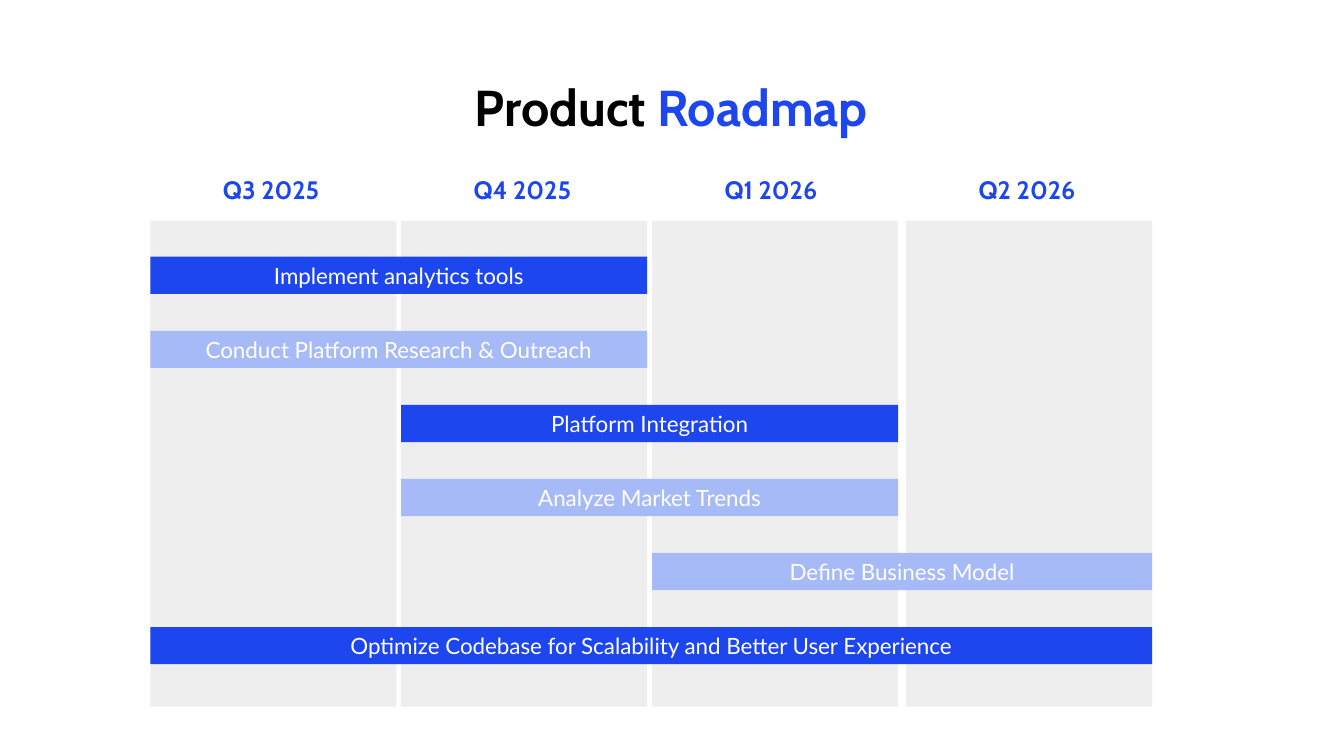
from pptx import Presentation
from pptx.dml.color import RGBColor
from pptx.enum.shapes import MSO_SHAPE
from pptx.enum.text import MSO_ANCHOR, PP_ALIGN
from pptx.util import Pt

BLACK = RGBColor(0x00, 0x00, 0x00)
WHITE = RGBColor(0xFF, 0xFF, 0xFF)
BLUE = RGBColor(0x1E, 0x46, 0xEF)
PALE_BLUE = RGBColor(0xA7, 0xBA, 0xF8)
GREY = RGBColor(0xEE, 0xEE, 0xEE)

TITLE = [("Product ", BLACK), ("Roadmap", BLUE)]
# quarter, left edge of its column
QUARTERS = [("Q3 2025", 107.5), ("Q4 2025", 286.6), ("Q1 2026", 465.8), ("Q2 2026", 647.3)]
# task, first quarter, last quarter, colour
TASKS = [
    ("Implement analytics tools", 0, 1, BLUE),
    ("Conduct Platform Research & Outreach", 0, 1, PALE_BLUE),
    ("Platform Integration", 1, 2, BLUE),
    ("Analyze Market Trends", 1, 2, PALE_BLUE),
    ("Define Business Model", 2, 3, PALE_BLUE),
    ("Optimize Codebase for Scalability and Better User Experience", 0, 3, BLUE),
]

COLUMN_TOP, COLUMN_WIDTH, COLUMN_HEIGHT = 157.7, 175.7, 347
LABEL_TOP, LABEL_WIDTH, LABEL_HEIGHT = 121, 86.4, 29
BAR_TOP, BAR_PITCH, BAR_HEIGHT = 183.4, 52.9, 26.6


def write(shape, runs, font="Cabin", size=18, bold=True,
          align=PP_ALIGN.LEFT, anchor=MSO_ANCHOR.TOP):
    """Fill a shape with one paragraph of (text, colour) runs."""
    frame = shape.text_frame
    frame.word_wrap = True
    frame.vertical_anchor = anchor
    paragraph = frame.paragraphs[0]
    paragraph.alignment = align
    for text, colour in runs:
        run = paragraph.add_run()
        run.text = text
        run.font.name = font
        run.font.size = Pt(size)
        run.font.bold = bold
        run.font.color.rgb = colour


def add_block(slide, left, top, width, height, colour):
    block = slide.shapes.add_shape(
        MSO_SHAPE.RECTANGLE, Pt(left), Pt(top), Pt(width), Pt(height))
    block.shadow.inherit = False
    block.fill.solid()
    block.fill.fore_color.rgb = colour
    block.line.fill.background()
    return block


def main():
    deck = Presentation()
    deck.slide_width, deck.slide_height = Pt(960), Pt(540)
    slide = deck.slides.add_slide(deck.slide_layouts[6])

    title = slide.shapes.add_textbox(Pt(288.7), Pt(51), Pt(381.6), Pt(51))
    write(title, TITLE, size=36, align=PP_ALIGN.CENTER)

    for quarter, left in QUARTERS:
        add_block(slide, left, COLUMN_TOP, COLUMN_WIDTH, COLUMN_HEIGHT, GREY)
        label_left = left + (COLUMN_WIDTH - LABEL_WIDTH) / 2
        label = slide.shapes.add_textbox(
            Pt(label_left), Pt(LABEL_TOP), Pt(LABEL_WIDTH), Pt(LABEL_HEIGHT))
        write(label, [(quarter, BLUE)])

    for row, (task, first, last, colour) in enumerate(TASKS):
        left = QUARTERS[first][1]
        width = QUARTERS[last][1] + COLUMN_WIDTH - left
        bar = add_block(slide, left, BAR_TOP + row * BAR_PITCH, width, BAR_HEIGHT, colour)
        write(bar, [(task, WHITE)], font="Lato", size=16, bold=False,
              align=PP_ALIGN.CENTER, anchor=MSO_ANCHOR.MIDDLE)

    deck.save("out.pptx")


if __name__ == "__main__":
    main()
